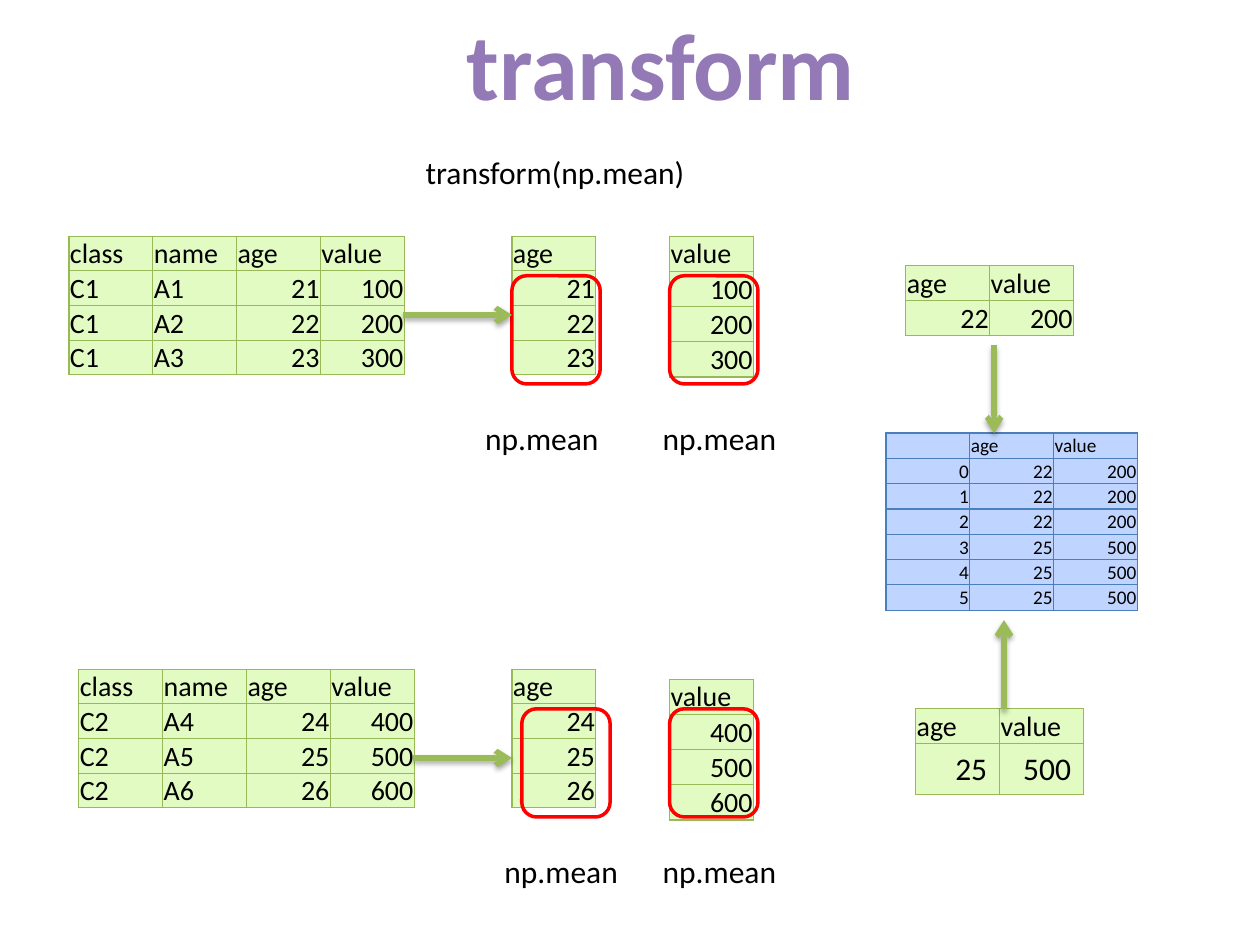
import lxml.etree
import pptx
import pptx.dml.color
import pptx.enum.shapes
import pptx.enum.text
import pptx.oxml.ns
import pptx.util

Cm = pptx.util.Cm
Pt = pptx.util.Pt
RGB = pptx.dml.color.RGBColor
qn = pptx.oxml.ns.qn
ALIGN = pptx.enum.text.PP_ALIGN

BLACK = RGB(0, 0, 0)
PURPLE = RGB(0x93, 0x79, 0xB5)
RED = RGB(0xFF, 0, 0)
ARROW = RGB(0x9B, 0xBB, 0x59)
GREEN = RGB(0xE2, 0xFB, 0xC2)
GREEN_EDGE = RGB(0x98, 0xB9, 0x55)
BLUE = RGB(0xBF, 0xD5, 0xFF)
BLUE_EDGE = RGB(0x4B, 0x7E, 0xBC)

FONT = "Calibri"
COL = 1.69
LEFT, AGE, VALUE = 1.39, 10.32, 13.5


def add(parent, tag, **attrs):
    """Append an XML child with the given attributes."""
    return lxml.etree.SubElement(parent, qn(tag), attrs)


def style(para, size, color=BLACK, bold=False):
    """Format every run of a paragraph."""
    for run in para.runs:
        run.font.name = FONT
        run.font.size = Pt(size)
        run.font.bold = bold
        run.font.color.rgb = color


def border(cell, color):
    """Draw a thin line on all four sides of a cell."""
    props = cell._tc.get_or_add_tcPr()
    for side in ("a:lnL", "a:lnR", "a:lnT", "a:lnB"):
        line = add(props, side, w=str(Pt(0.75)))
        add(add(line, "a:solidFill"), "a:srgbClr", val=str(color))


def fill_cell(cell, text, size, fill, edge):
    """Write and format one table cell, numbers to the right."""
    border(cell, edge)
    cell.fill.solid()
    cell.fill.fore_color.rgb = fill
    cell.vertical_anchor = pptx.enum.text.MSO_ANCHOR.MIDDLE
    cell.margin_left = cell.margin_right = cell.margin_top = Cm(0.02)
    cell.margin_bottom = 0
    para = cell.text_frame.paragraphs[0]
    para.text = text
    para.alignment = ALIGN.RIGHT if text.isdigit() else ALIGN.LEFT
    style(para, size)
    if not text:
        add(para._p, "a:endParaRPr", sz=str(size * 100))


def add_grid(slide, x, y, rows, high=0.7, size=16, fill=GREEN, edge=GREEN_EDGE):
    """Add a table of equal columns and rows."""
    wide = len(rows[0])
    frame = slide.shapes.add_table(len(rows), wide, Cm(x), Cm(y),
                                   Cm(COL * wide), Cm(high * len(rows)))
    table = frame.table
    for col in table.columns:
        col.width = Cm(COL)
    for i, row in enumerate(rows):
        table.rows[i].height = Cm(high)
        for j, text in enumerate(row):
            fill_cell(table.cell(i, j), text, size, fill, edge)
    return table


def add_text(slide, x, y, wide, high, text, size=18, color=BLACK,
             bold=False, align=ALIGN.LEFT):
    """Add a one-line label."""
    box = slide.shapes.add_textbox(Cm(x), Cm(y), Cm(wide), Cm(high))
    box.text_frame.word_wrap = False
    para = box.text_frame.paragraphs[0]
    para.text = text
    para.alignment = align
    style(para, size, color, bold)


def add_arrow(slide, x1, y1, x2, y2):
    """Add a green arrow with a soft shadow."""
    link = slide.shapes.add_connector(
        pptx.enum.shapes.MSO_CONNECTOR.STRAIGHT, Cm(x1), Cm(y1), Cm(x2), Cm(y2))
    link.line.color.rgb = ARROW
    link.line.width = Pt(3)
    add(link.line._get_or_add_ln(), "a:tailEnd", type="arrow")
    effect = add(link._element.spPr, "a:effectLst")
    shade = add(effect, "a:outerShdw", blurRad=str(Pt(3.1)), dist=str(Pt(1.8)),
                dir="5400000", rotWithShape="0")
    add(add(shade, "a:srgbClr", val="000000"), "a:alpha", val="35000")


def add_ring(slide, x, y):
    """Add a red rounded outline around three values."""
    ring = slide.shapes.add_shape(
        pptx.enum.shapes.MSO_SHAPE.ROUNDED_RECTANGLE,
        Cm(x), Cm(y), Cm(1.78), Cm(2.18))
    ring.shadow.inherit = False
    ring.fill.background()
    ring.line.color.rgb = RED
    ring.line.width = Pt(2)


def add_group(slide, rows, x, y, drop, shift, label):
    """Add one class: its table, its two columns, rings and labels."""
    head = ["class", "name", "age", "value"]
    rows = [head] + rows
    add_grid(slide, x, y, rows)
    add_grid(slide, AGE, y, [row[2:3] for row in rows])
    add_grid(slide, VALUE, y + drop, [row[3:] for row in rows], 0.71)
    add_ring(slide, AGE + shift, y + 0.8)
    add_ring(slide, VALUE, y + 0.8)
    for left in (label, 13.11):
        add_text(slide, left, y + 3.57, 2.82, 1.03, "np.mean")


def add_result(slide):
    """Add the two mean tables and the joined result."""
    head = ["age", "value"]
    means = [["22", "200"], ["25", "500"]]
    add_grid(slide, 18.26, 5.36, [head, means[0]])
    low = add_grid(slide, 18.46, 14.29, [head, means[1]])
    low.rows[1].height = Cm(1.03)
    for cell in low.rows[1].cells:
        cell.margin_left = cell.margin_right = Cm(0.25)
        cell.margin_top = cell.margin_bottom = Cm(0.13)
        style(cell.text_frame.paragraphs[0], 18)
    rows = [[""] + head] + [[str(i)] + means[i // 3] for i in range(6)]
    add_grid(slide, 17.86, 8.73, rows, 0.51, 11, BLUE, BLUE_EDGE)


def main():
    """Build the slide and save it."""
    deck = pptx.Presentation()
    deck.slide_width, deck.slide_height = Cm(25.4), Cm(19.05)
    slide = deck.slides.add_slide(deck.slide_layouts[6])
    add_text(slide, 9.12, 0, 8.41, 2.57, "transform", 54, PURPLE, True,
             ALIGN.CENTER)
    add_text(slide, 8.33, 2.97, 5.79, 1.03, "transform(np.mean)")
    first = [["C1", f"A{i}", str(20 + i), str(100 * i)] for i in range(1, 4)]
    second = [["C2", f"A{i}", str(20 + i), str(100 * i)] for i in range(4, 7)]
    add_group(slide, first, LEFT, 4.76, 0, 0, 9.53)
    add_group(slide, second, LEFT + 0.2, 13.49, 0.2, 0.2, 9.92)
    add_result(slide)
    for ends in ((8.13, 6.35, AGE, 6.35), (8.33, 15.28, AGE, 15.28),
                 (20.04, 6.96, 20.04, 8.73), (20.24, 14.29, 20.24, 12.5)):
        add_arrow(slide, *ends)
    deck.save("out.pptx")


main()
